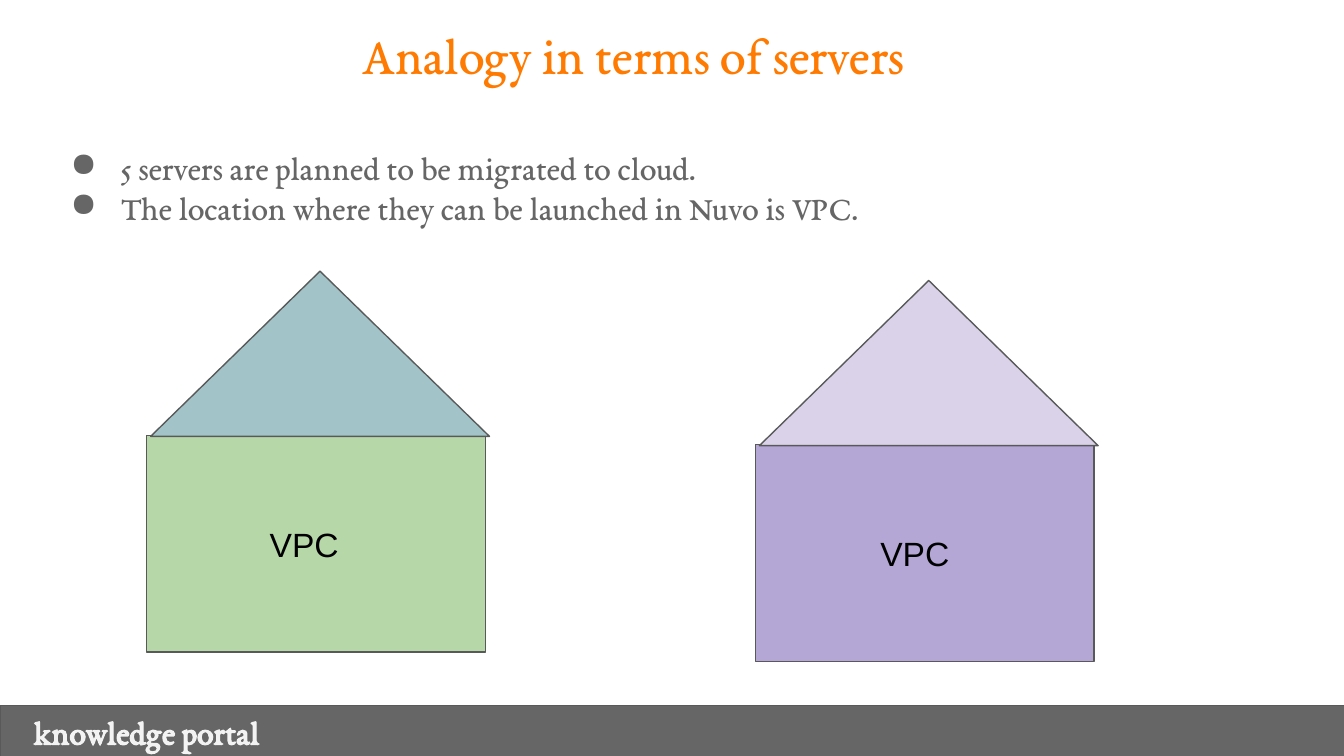
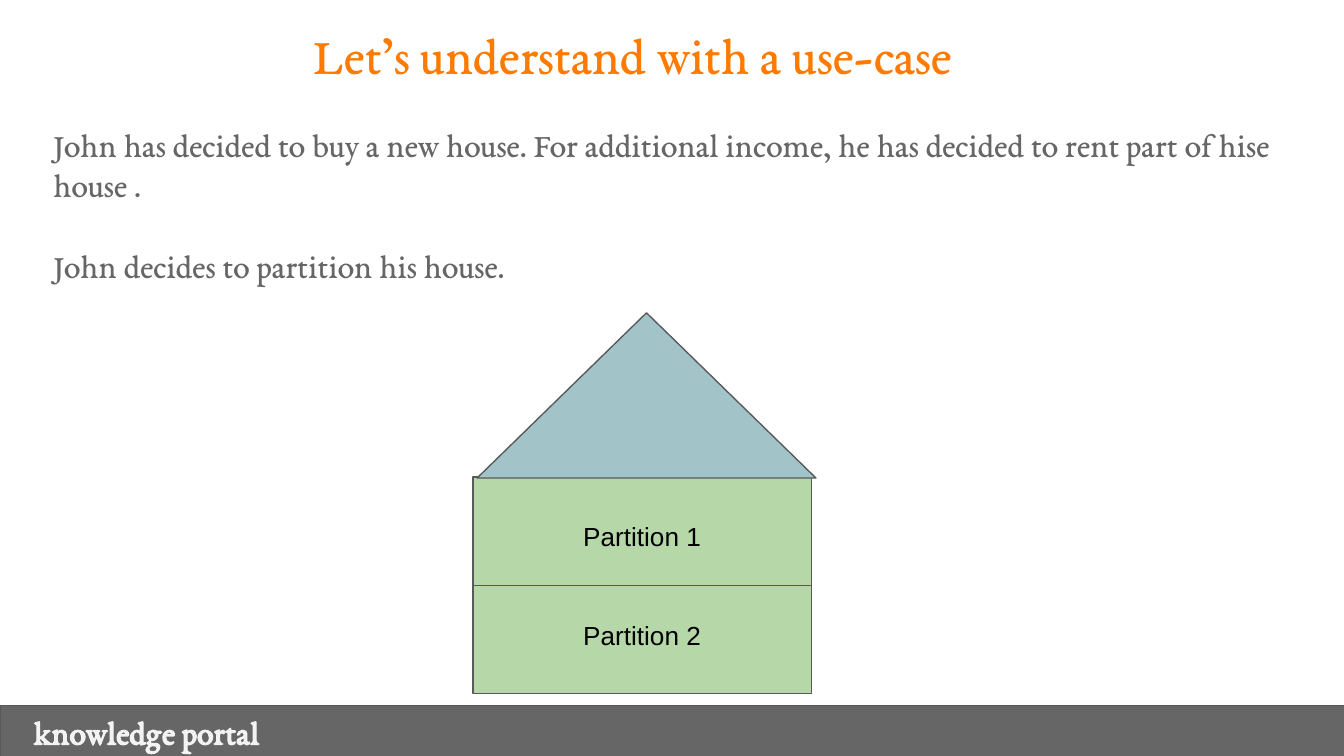
from dataclasses import dataclass

from lxml.etree import SubElement
from pptx import Presentation
from pptx.dml.color import RGBColor as RGB
from pptx.enum.shapes import MSO_CONNECTOR as CONN, MSO_SHAPE as SHAPE
from pptx.enum.text import MSO_ANCHOR as ANCHOR, PP_ALIGN as ALIGN
from pptx.oxml.ns import qn
from pptx.util import Pt


@dataclass(frozen=True)
class Theme:
    serif: str = "EB Garamond"
    sans: str = "Arial"
    orange: str = "FF7A00"
    grey: str = "666666"
    outline: str = "595959"
    light: str = "F3F3F3"
    black: str = "000000"
    green: str = "B6D7A8"
    teal: str = "A2C4C9"
    purple: str = "B4A7D6"
    lilac: str = "D9D2E9"
    title_size: int = 28
    body_size: int = 18
    label_size: int = 14
    line_width: float = 0.75
    inset: float = 7.2


T = Theme()


def add_text(s, text, box, sp=None, font=T.serif, size=T.body_size, color=T.grey,
             bold=False, align=ALIGN.LEFT, anchor=ANCHOR.TOP, left=T.inset,
             bullet=None, gap=0):
    """Write one paragraph per line of text, in sp or in a new text box."""
    sp = sp or s.shapes.add_textbox(*map(Pt, box))
    tf = sp.text_frame
    tf.word_wrap = True
    tf.vertical_anchor = anchor
    tf.margin_left = Pt(left)
    tf.margin_top = tf.margin_right = tf.margin_bottom = Pt(T.inset)
    for i, line in enumerate(text.split("\n")):
        p = tf.paragraphs[0] if i == 0 else tf.add_paragraph()
        p.alignment = align
        if i and gap:
            p.space_before = Pt(gap)
        if bullet:
            pPr = p._p.get_or_add_pPr()
            pPr.set("marL", str(Pt(36)))
            pPr.set("indent", str(Pt(-27)))
            clr = SubElement(pPr, qn("a:buClr"))
            SubElement(clr, qn("a:srgbClr"), val=color)
            SubElement(pPr, qn("a:buChar"), char=bullet)
        r = p.add_run()
        r.text = line
        r.font.name, r.font.size, r.font.bold = font, Pt(size), bold
        r.font.color.rgb = RGB.from_string(color)


def add_block(s, kind, box, fill):
    sp = s.shapes.add_shape(kind, *map(Pt, box))
    sp.shadow.inherit = False
    sp.fill.solid()
    sp.fill.fore_color.rgb = RGB.from_string(fill)
    sp.line.color.rgb = RGB.from_string(T.outline)
    sp.line.width = Pt(T.line_width)
    return sp


prs = Presentation()
prs.slide_width, prs.slide_height = Pt(720), Pt(405)

# House geometry: the roof sits on the body, slightly to the right
HOUSE_W, BODY_H, ROOF_H, ROOF_SHIFT = 181.5, 116, 88.5, 2.2

# Each house: left, top of body, body colour, roof colour, label, label inset
slides = [
    dict(title="Analogy in terms of servers",
         body="5 servers are planned to be migrated to cloud.\n"
              "The location where they can be launched in Nuvo is VPC.",
         top=71.3, bullet="●", gap=0,
         houses=[(78.5, 233.3, T.green, T.teal, "VPC", 66),
                 (404.6, 238.3, T.purple, T.lilac, "VPC", 67)],
         partitions=[]),
    dict(title="Let’s understand with a use-case",
         body="John has decided to buy a new house. For additional income, "
              "he has decided to rent part of hise house .\n"
              "John decides to partition his house.",
         top=59, bullet=None, gap=21.6,
         houses=[(253.4, 255.6, T.green, T.teal, None, 0)],
         partitions=["Partition 1", "Partition 2"]),
]

for page in slides:
    s = prs.slides.add_slide(prs.slide_layouts[6])

    # Title and footer band
    add_text(s, page["title"], (0, 5, 678, 62.6), size=T.title_size,
             color=T.orange, align=ALIGN.CENTER)
    band = (0, 378, 721.4, 27.4)
    add_text(s, "knowledge portal", band, add_block(s, SHAPE.RECTANGLE, band, T.grey),
             color=T.light, bold=True, anchor=ANCHOR.MIDDLE, left=18)

    # Body text
    add_text(s, page["body"], (21.6, page["top"], 678, 96.5),
             bullet=page["bullet"], gap=page["gap"])

    # Houses
    for x, y, wall, roof, label, left in page["houses"]:
        box = (x, y, HOUSE_W, BODY_H)
        sp = add_block(s, SHAPE.RECTANGLE, box, wall)
        if label:
            add_text(s, label, box, sp, font=T.sans, color=T.black,
                     anchor=ANCHOR.MIDDLE, left=left)
        add_block(s, SHAPE.ISOSCELES_TRIANGLE,
                  (x + ROOF_SHIFT, y - ROOF_H + 0.5, HOUSE_W, ROOF_H), roof)

    # Dividing line and partition labels of the last house
    if page["partitions"]:
        mid = y + BODY_H / 2
        cn = s.shapes.add_connector(CONN.STRAIGHT, Pt(x), Pt(mid), Pt(x + HOUSE_W), Pt(mid))
        cn.line.color.rgb = RGB.from_string(T.outline)
        cn.line.width = Pt(T.line_width)
        SubElement(cn._element.spPr, qn("a:effectLst"))
    for i, name in enumerate(page["partitions"]):
        add_text(s, name, (x + 24.5, y + 15.8 + 53.4 * i, 133.2, 27.4), font=T.sans,
                 size=T.label_size, color=T.black, left=34.5)

prs.save("out.pptx")
